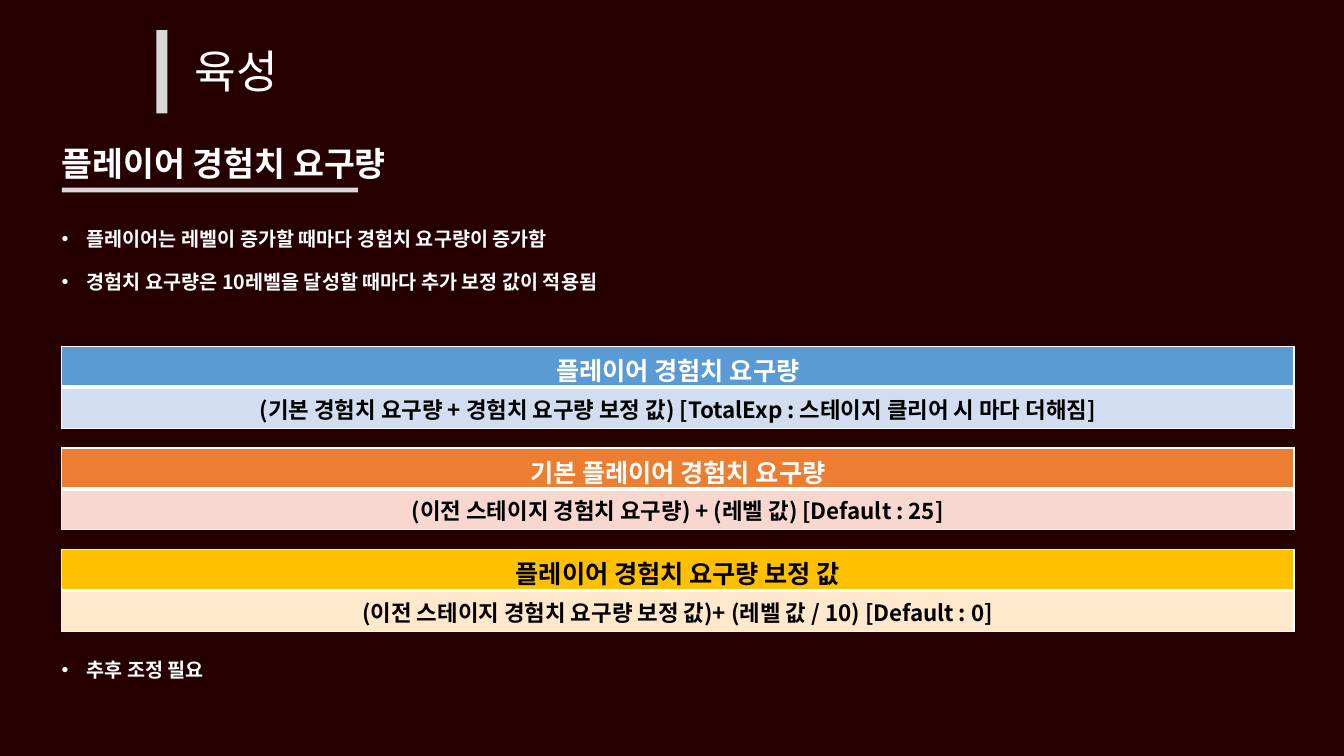
from lxml.etree import SubElement
from pptx import Presentation
from pptx.dml.color import RGBColor
from pptx.enum.shapes import MSO_SHAPE
from pptx.enum.text import MSO_ANCHOR, MSO_AUTO_SIZE, PP_ALIGN
from pptx.oxml.ns import qn
from pptx.util import Cm, Pt

FONT = "Noto Sans CJK KR"
HUES = {
    "back": "260000", "bar": "D9D9D9", "white": "FFFFFF", "black": "000000",
    "blue": "5B9BD5", "pale blue": "D2DEEF",
    "orange": "ED7D31", "pale orange": "F8D7CE",
    "gold": "FFC000", "pale gold": "FFE8CC",
}


def paint(fill, hue):
    fill.solid()
    fill.fore_color.rgb = RGBColor.from_string(HUES[hue])


def style(para, size, hue="white", bold=True):
    for run in para.runs:
        run.font.size = Pt(size)
        run.font.bold = bold
        run.font.name = FONT
        paint(run.font.fill, hue)
        SubElement(run.font._element, qn("a:ea"), typeface=FONT)


deck = Presentation()
deck.slide_width, deck.slide_height = Cm(33.87), Cm(19.05)
slide = deck.slides.add_slide(deck.slide_layouts[1])
paint(slide.background.fill, "back")

for left, top, width, height in [(3.94, 0.76, 0.28, 2.1), (1.56, 4.73, 7.46, 0.12)]:
    bar = slide.shapes.add_shape(MSO_SHAPE.RECTANGLE, Cm(left), Cm(top), Cm(width), Cm(height))
    bar.shadow.inherit = False
    paint(bar.fill, "bar")
    bar.line.fill.background()

title = slide.shapes.title
title.left, title.top, title.width, title.height = Cm(4.65), Cm(1.09), Cm(10.87), Cm(1.55)
frame = title.text_frame
frame.text = "육성"
frame.auto_size = MSO_AUTO_SIZE.NONE
frame.vertical_anchor = MSO_ANCHOR.MIDDLE
frame.paragraphs[0].alignment = PP_ALIGN.LEFT
frame.paragraphs[0].line_spacing = 0.9
style(frame.paragraphs[0], 32.4, bold=False)

head = slide.shapes.add_textbox(Cm(1.3), Cm(3.58), Cm(28.75), Cm(1.27)).text_frame
head.word_wrap = True
head.text = "플레이어 경험치 요구량"
head.paragraphs[0].line_spacing = 0.9
style(head.paragraphs[0], 24)

body = slide.placeholders[1]
body.left, body.top, body.width, body.height = Cm(1.3), Cm(5.59), Cm(31.34), Cm(11.96)
frame = body.text_frame
frame.text = "\n".join([
    "플레이어는 레벨이 증가할 때마다 경험치 요구량이 증가함",
    "경험치 요구량은 10레벨을 달성할 때마다 추가 보정 값이 적용됨",
    "추후 조정 필요",
])
frame.auto_size = MSO_AUTO_SIZE.NONE
for para, gap in zip(frame.paragraphs, [0, 14, 260]):
    props = para._p.get_or_add_pPr()
    props.set("marL", str(Cm(0.63)))
    props.set("indent", str(-Cm(0.63)))
    SubElement(props, qn("a:buChar"), char="•")
    para.space_before = Pt(gap)
    para.line_spacing = Pt(16.8)
    style(para, 14)

rules = [
    ("blue", "white", "플레이어 경험치 요구량",
     "(기본 경험치 요구량 + 경험치 요구량 보정 값) [TotalExp : 스테이지 클리어 시 마다 더해짐]"),
    ("orange", "white", "기본 플레이어 경험치 요구량",
     "(이전 스테이지 경험치 요구량) + (레벨 값) [Default : 25]"),
    ("gold", "black", "플레이어 경험치 요구량 보정 값",
     "(이전 스테이지 경험치 요구량 보정 값)+ (레벨 값 / 10) [Default : 0]"),
]
for spot, (hue, ink, name, rule) in enumerate(rules):
    top = Cm(8.73 + 2.56 * spot)
    table = slide.shapes.add_table(2, 1, Cm(1.55), top, Cm(31.06), Cm(2.06)).table
    rows = [(name, hue, ink, 18, 3), (rule, "pale " + hue, "black", 16, 1)]
    for row, (text, fill, tint, size, base) in enumerate(rows):
        cell = table.cell(row, 0)
        cell.text_frame.text = text
        para = cell.text_frame.paragraphs[0]
        para.alignment = PP_ALIGN.CENTER
        style(para, size, tint)
        props = cell._tc.get_or_add_tcPr()
        upper = 3 if row else 1
        for side, width in [("L", 1), ("R", 1), ("T", upper), ("B", base)]:
            edge = SubElement(props, qn("a:ln" + side), w=str(Pt(width)))
            solid = SubElement(edge, qn("a:solidFill"))
            SubElement(solid, qn("a:srgbClr"), val=HUES["white"])
        paint(cell.fill, fill)

deck.save("out.pptx")
